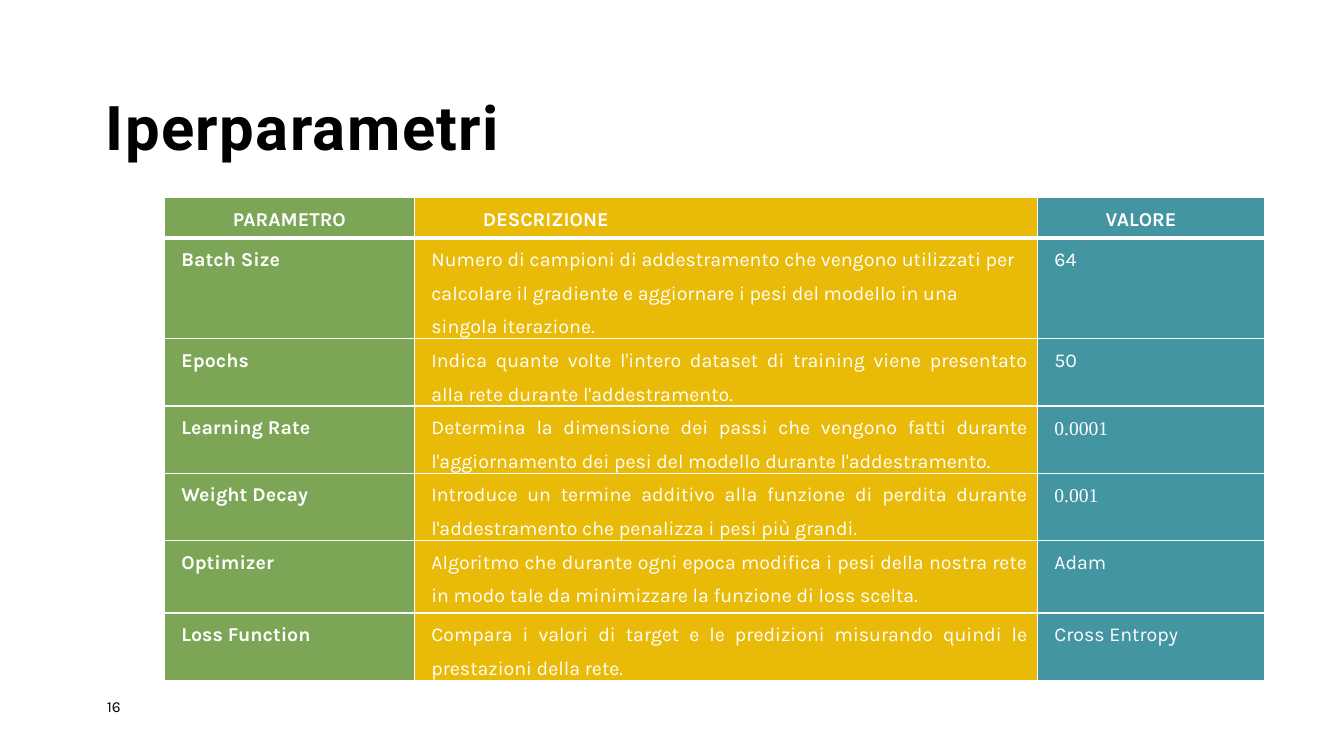
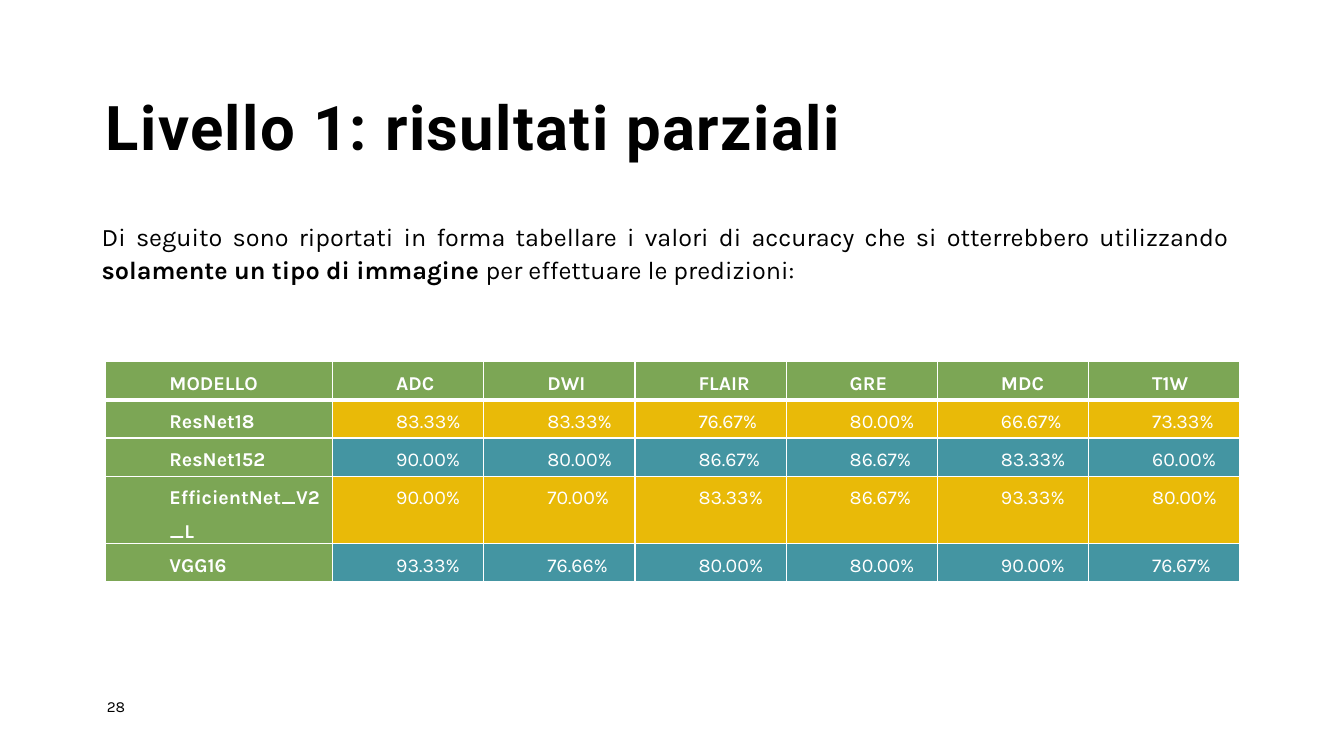
from lxml.etree import SubElement
from pptx import Presentation
from pptx.dml.color import RGBColor
from pptx.enum.text import MSO_ANCHOR as Anchor, MSO_AUTO_SIZE as AutoSize, PP_ALIGN as Align
from pptx.oxml.ns import qn
from pptx.util import Inches, Pt

GREEN, YELLOW, TEAL = "7CA655", "E9BA08", "4495A2"
BLACK, WHITE = "000000", "FFFFFF"
LEAD = 3.54      # deep left indent, in grid columns
NUMERIC_FONT = "Times New Roman"


def color(value):
    return RGBColor.from_string(value)


def grid(units):
    """Length of grid units: the slide has 80 columns and 45 rows."""
    return Inches(units / 6)


def assign(target, values):
    for name, value in values.items():
        setattr(target, name, value)


class Deck:
    FRAME = dict(margin_left=0, margin_top=0, margin_right=0, margin_bottom=0,
                 word_wrap=True, auto_size=AutoSize.NONE)
    TITLE = dict(name="Roboto", size=Pt(44), bold=True)
    TEXT = dict(name="Karla", size=Pt(18), bold=False)
    CELL = dict(name="Karla", size=Pt(14), bold=False)
    NUMBER = dict(name="Karla", size=Pt(11), bold=False)
    JUSTIFIED = dict(alignment=Align.JUSTIFY, line_spacing=Pt(24))

    def __init__(self):
        self.show = Presentation()
        assign(self.show, dict(slide_width=grid(80), slide_height=grid(45)))

    def run(self, paragraph, text, font, tint=BLACK, **changes):
        run = paragraph.add_run()
        run.text = text
        assign(run.font, {**font, **changes})
        run.font.color.rgb = color(tint)
        return run

    def indent(self, paragraph, columns):
        properties = paragraph._p.get_or_add_pPr()
        properties.set("marL", str(grid(columns)))
        properties.set("indent", "0")

    def slide(self, title, width, number):
        """Start a slide with its title and page number."""
        self.current = self.show.slides.add_slide(self.show.slide_layouts[5])
        heading = self.current.shapes.title
        assign(heading, dict(left=grid(6.3), top=grid(5.76), width=grid(width), height=grid(4)))
        assign(heading.text_frame, {**self.FRAME, "vertical_anchor": Anchor.BOTTOM})
        line = heading.text_frame.paragraphs[0]
        assign(line, dict(alignment=Align.LEFT, line_spacing=0.9))
        self.run(line, title, self.TITLE).font._element.set("spc", "100")

        page = self.current.shapes.add_textbox(*map(grid, (6.36, 41.52, 3.42, 1.62)))
        assign(page.text_frame, self.FRAME)
        page_line = page.text_frame.paragraphs[0]
        page_line.space_after = Pt(6)
        self.run(page_line, number, self.NUMBER)

    def paragraph(self, place, parts):
        """Justified paragraph made of (text, bold) parts."""
        box = self.current.shapes.add_textbox(*map(grid, place))
        assign(box.text_frame, dict(word_wrap=True, auto_size=AutoSize.SHAPE_TO_FIT_TEXT))
        line = box.text_frame.paragraphs[0]
        assign(line, self.JUSTIFIED)
        self.indent(line, LEAD)
        for text, bold in parts:
            self.run(line, text, self.TEXT, bold=bold)

    def borders(self, cell, row):
        properties = cell._tc.get_or_add_tcPr()
        for side in "LRTB":
            thick = (row, side) in ((0, "B"), (1, "T"))
            edge = SubElement(properties, qn(f"a:ln{side}"), w=str(Pt(3 if thick else 1)))
            SubElement(SubElement(edge, qn("a:solidFill")), qn("a:srgbClr"), val=WHITE)

    def table(self, left, top, columns, heights, cells, fill, lead, margin):
        """Table with a bold header row and a bold first column."""
        place = map(grid, (left, top, sum(columns), sum(heights)))
        table = self.current.shapes.add_table(len(heights), len(columns), *place).table
        table.horz_banding = False
        for column, width in zip(table.columns, columns):
            column.width = grid(width)
        for row, height in zip(table.rows, heights):
            row.height = grid(height)
        for r, texts in enumerate(cells):
            for c, text in enumerate(texts):
                cell = table.cell(r, c)
                assign(cell, dict(margin_left=grid(margin), margin_right=grid(margin),
                                  margin_top=0, margin_bottom=0))
                self.borders(cell, r)
                cell.fill.solid()
                cell.fill.fore_color.rgb = color(fill(r, c))
                line = cell.text_frame.paragraphs[0]
                assign(line, self.JUSTIFIED)
                self.indent(line, lead if r else LEAD)
                self.run(line, text, self.CELL, WHITE, bold=r == 0 or c == 0)
        return table


def hyperparameters(deck):
    deck.slide("Iperparametri", 32.4, "16")
    settings = [
        ("PARAMETRO", "DESCRIZIONE", "VALORE"),
        ("Batch Size", "Numero di campioni di addestramento che vengono utilizzati per calcolare "
         "il gradiente e aggiornare i pesi del modello in una singola iterazione.", "64"),
        ("Epochs", "Indica quante volte l'intero dataset di training viene presentato alla rete "
         "durante l'addestramento.", "50"),
        ("Learning Rate", "Determina la dimensione dei passi che vengono fatti durante "
         "l'aggiornamento dei pesi del modello durante l'addestramento.", "0.0001"),
        ("Weight Decay", "Introduce un termine additivo alla funzione di perdita durante "
         "l'addestramento che penalizza i pesi più grandi.", "0.001"),
        ("Optimizer", "Algoritmo che durante ogni epoca modifica i pesi della nostra rete in modo "
         "tale da minimizzare la funzione di loss scelta.", "Adam"),
        ("Loss Function", "Compara i valori di target e le predizioni misurando quindi le "
         "prestazioni della rete.", "Cross Entropy"),
    ]
    table = deck.table(9.78, 11.76, (14.88, 37.08, 13.56),
                       (2.4, 5.94, 3.84, 3.84, 3.84, 4.32, 2.4), settings,
                       fill=lambda r, c: (GREEN, YELLOW, TEAL)[c], lead=0.48, margin=0.54)
    # Exceptions: one left-aligned description, two values in a serif font
    table.cell(1, 1).text_frame.paragraphs[0].alignment = Align.LEFT
    for row in (3, 4):
        table.cell(row, 2).text_frame.paragraphs[0].runs[0].font.name = NUMERIC_FONT


def partial_results(deck):
    deck.slide("Livello 1: risultati parziali", 66.54, "28")
    accuracies = [
        ("MODELLO", "ADC", "DWI", "FLAIR", "GRE", "MDC", "T1W"),
        ("ResNet18", "83.33%", "83.33%", "76.67%", "80.00%", "66.67%", "73.33%"),
        ("ResNet152", "90.00%", "80.00%", "86.67%", "86.67%", "83.33%", "60.00%"),
        ("EfficientNet_V2_L", "90.00%", "70.00%", "83.33%", "86.67%", "93.33%", "80.00%"),
        ("VGG16", "93.33%", "76.66%", "80.00%", "80.00%", "90.00%", "76.67%"),
    ]
    deck.table(6.3, 21.54, [13.5] + [9] * 6, [2.27] * 5, accuracies,
               fill=lambda r, c: GREEN if r * c == 0 else (TEAL, YELLOW)[r % 2],
               lead=LEAD, margin=0.24)
    deck.paragraph((1.92, 12.66, 71.82, 4.5), [
        ("Di seguito sono riportati in forma tabellare i valori di accuracy che si "
         "otterrebbero utilizzando ", False),
        ("solamente un tipo di immagine ", True),
        ("per effettuare le predizioni:", False),
    ])


def main():
    deck = Deck()
    hyperparameters(deck)
    partial_results(deck)
    deck.show.save("out.pptx")


if __name__ == "__main__":
    main()
